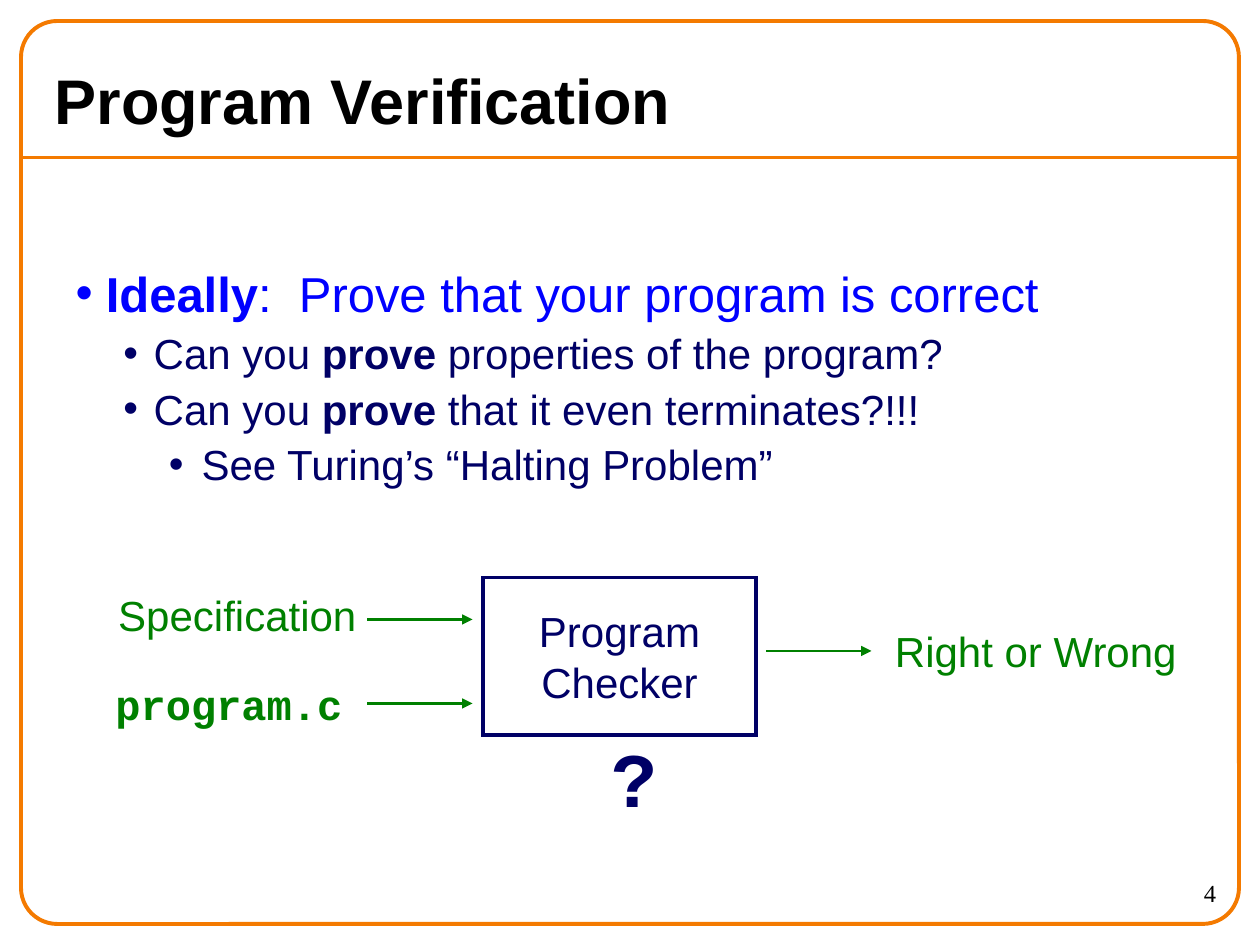
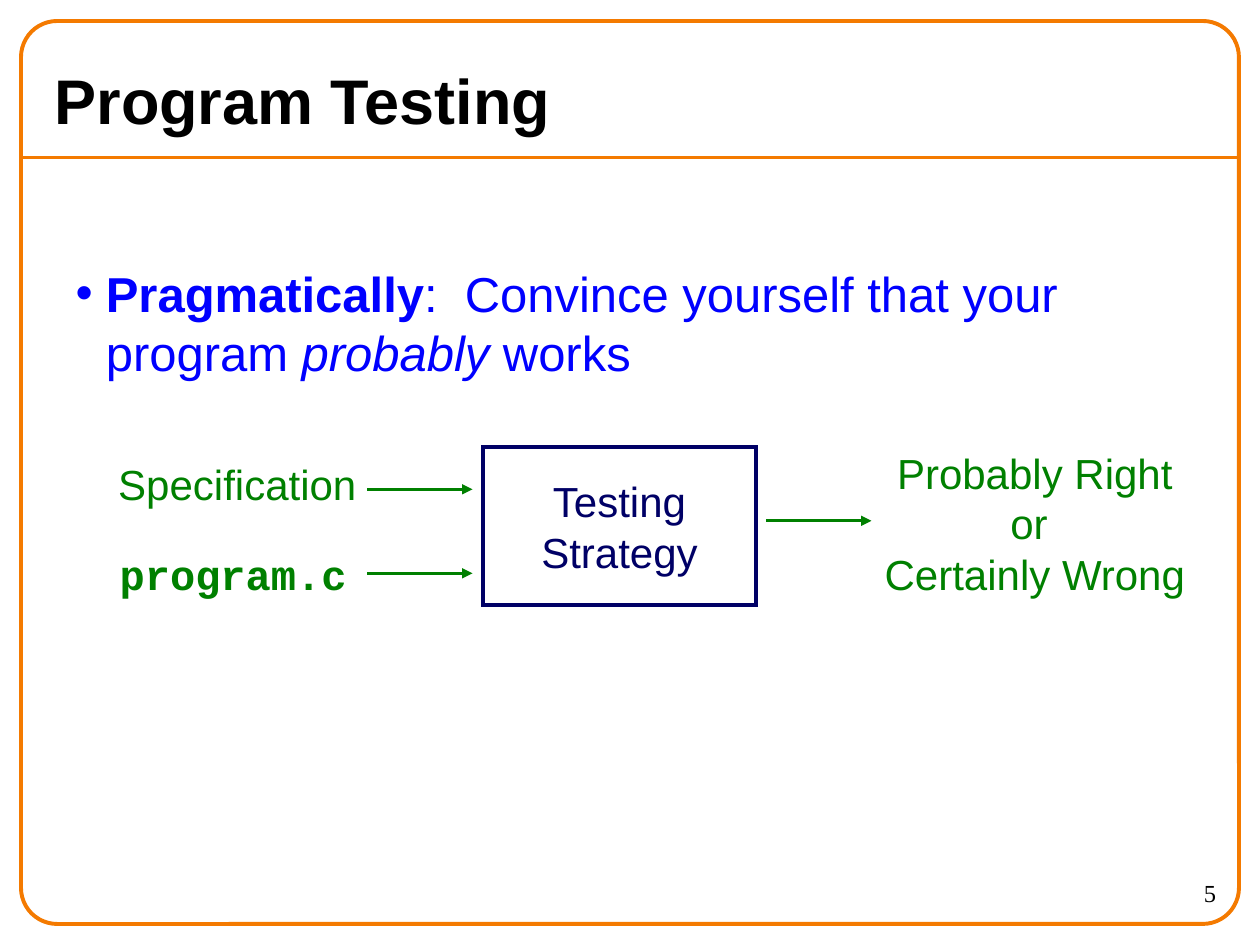
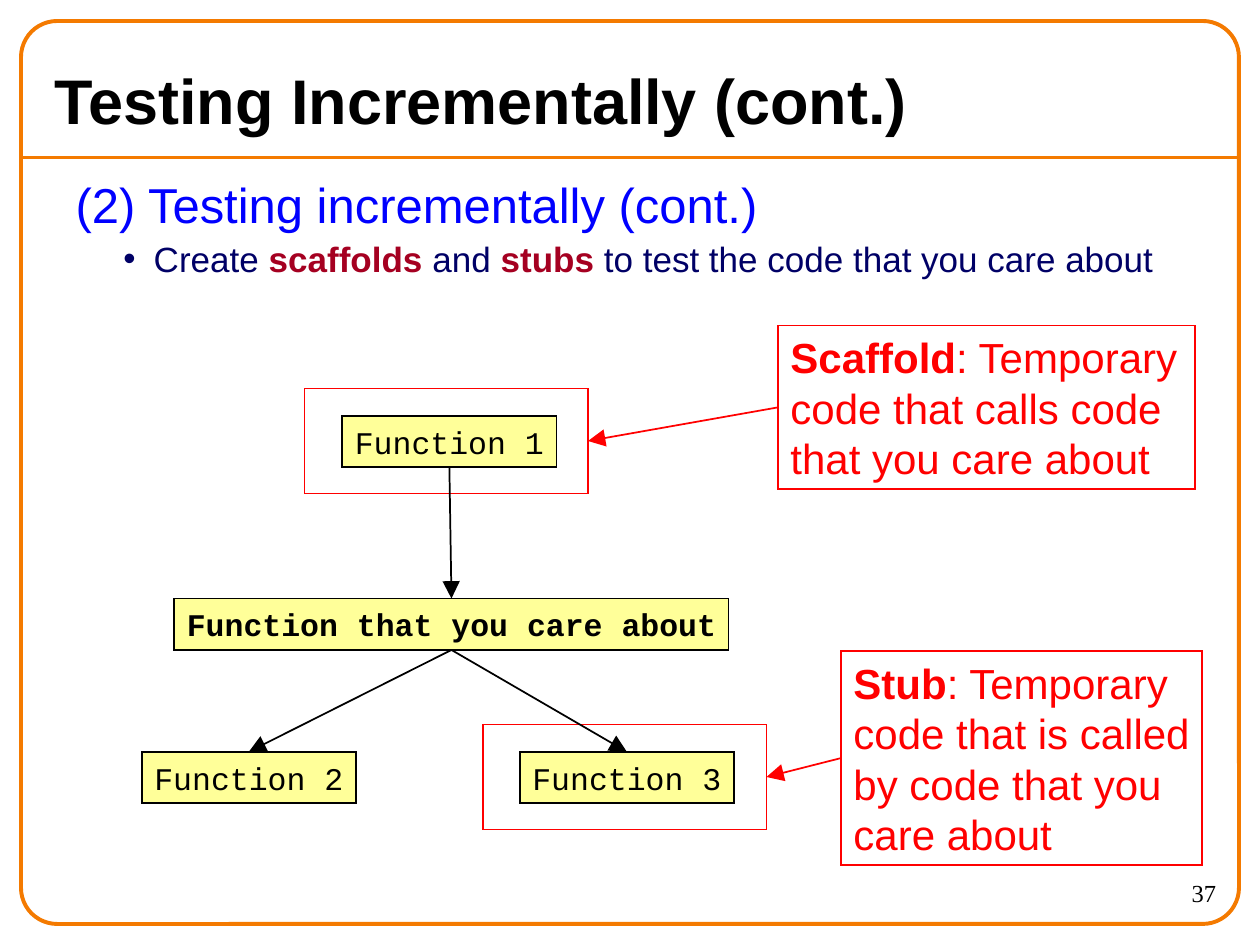
from lxml import etree
from pptx import Presentation
from pptx import util as u
from pptx.dml.color import RGBColor
from pptx.enum import shapes, text
from pptx.oxml import ns

ORANGE, BLUE, NAVY, GREEN = "F47A00", "0000FF", "000066", "008000"
BLACK, RED, CRIMSON, YELLOW, WHITE = "000000", "FF0000", "A50021", "FFFF99", "FFFFFF"
LEFT, CENTER, RIGHT = text.PP_ALIGN.LEFT, text.PP_ALIGN.CENTER, text.PP_ALIGN.RIGHT


def hue(code):
    return RGBColor.from_string(code)


def write(frame, number, line, font, size, color, bold=False, align=LEFT, accent=None):
    para = frame.paragraphs[0] if number == 0 else frame.add_paragraph()
    para.alignment = align
    for index, piece in enumerate(line.split("*")):
        if piece:
            strong = index % 2 == 1
            span = para.add_run()
            span.text = piece
            span.font.name = font
            span.font.size = u.Pt(size)
            span.font.bold = bold or strong
            span.font.color.rgb = hue(accent if accent and strong else color)
    return para


deck = Presentation()
deck.slide_width, deck.slide_height = u.Inches(10), u.Inches(7.5)
cell = deck.slide_width / 120

topics = [
    ("Program Verification", "4", 24.5, 3, [
        (0, "*Ideally*:  Prove that your program is correct", 28),
        (1, "Can you *prove* properties of the program?", 24),
        (1, "Can you *prove* that it even terminates?!!!", 24),
        (2, "See Turing’s “Halting Problem”", 24)]),
    ("Program Testing", "5", 24.5, 3, [
        (0, "*Pragmatically*:  Convince yourself that your program *probably *works", 28)]),
    ("Testing Incrementally (cont.)", "37", 16, 2.5, [
        (0, "(2) Testing incrementally (cont.)", 28),
        (1, "Create *scaffolds* and *stubs *to test the code that you care about", 20)]),
]
indents = [(0.24, -0.24), (0.62, -0.24), (1, -0.26)]

styles = {
    "border": ("Arial", 12, BLACK, False, CENTER, None, ORANGE, 2.25),
    "number": ("Times New Roman", 14, BLACK, False, RIGHT, None, None, 0),
    "process": ("Arial", 24, NAVY, False, CENTER, None, NAVY, 2.25),
    "label": ("Arial", 24, GREEN, False, CENTER, None, None, 0),
    "file": ("Courier New", 24, GREEN, True, CENTER, None, None, 0),
    "question": ("Courier New", 44, NAVY, True, CENTER, None, None, 0),
    "function": ("Courier New", 18, BLACK, False, CENTER, YELLOW, BLACK, 1),
    "note": ("Arial", 24, RED, False, LEFT, WHITE, RED, 1),
    "frame": ("Arial", 12, RED, False, CENTER, None, RED, 1),
}

boxes = []
arrows = []
for page_index, topic in enumerate(topics):
    boxes += [
        (page_index, "border", "Border", "", 2, 2, 116, 86),
        (page_index, "number", "Page number", topic[1], 105, 83, 12, 4),
    ]
    arrows.append((page_index, (2, 15), (118, 15), ORANGE, 2.25, None))

flows = [
    (0, 55, "Program\nChecker", 9.8, "Right or Wrong", (84, 59, 29.3, 6)),
    (1, 42.6, "Testing\nStrategy", 10.2, "Probably Right\nor \nCertainly Wrong", (83, 42, 31.1, 15.6)),
]
for page_index, top, process, file_left, verdict, place in flows:
    boxes += [
        (page_index, "process", "Process", process, 46, top, 26, 15),
        (page_index, "label", "Specification", "Specification", 9.6, top + 0.5, 26, 6),
        (page_index, "file", "Program file", "program.c", file_left, top + 9, 24, 6),
        (page_index, "label", "Verdict", verdict, *place),
    ]
    for left, drop in [(35, 4), (35, 12), (73, 7)]:
        arrows.append((page_index, (left, top + drop), (left + 10, top + drop), GREEN, 1.5, "med"))

boxes += [
    (0, "question", "Question", "?", 57.1, 69, 6.7, 10),
    (2, "function", "Target", "*Function that you care about*", 16.6, 57, 52.8, 4.9),
    (2, "function", "Function 1", "Function 1", 32.6, 39.6, 20.4, 4.9),
    (2, "function", "Function 2", "Function 2", 13.5, 71.6, 20.4, 4.9),
    (2, "function", "Function 3", "Function 3", 49.5, 71.6, 20.4, 4.9),
    (2, "note", "Scaffold", "*Scaffold*: Temporary\ncode that calls code\nthat you care about", 74.1, 31, 39.7, 15.6),
    (2, "note", "Stub", "*Stub*: Temporary\ncode that is called\nby code that you\ncare about", 80.1, 62, 34.4, 20.4),
    (2, "frame", "Scaffold frame", "", 29, 37, 27, 10),
    (2, "frame", "Stub frame", "", 46, 69, 27, 10),
]
arrows += [
    (2, ("Function 1", 2), ("Target", 0), BLACK, 1, "lg"),
    (2, ("Target", 2), ("Function 2", 0), BLACK, 1, "lg"),
    (2, ("Target", 2), ("Function 3", 0), BLACK, 1, "lg"),
    (2, ("Scaffold", 1), ("Scaffold frame", 3), RED, 1, "lg"),
    (2, ("Stub", 1), ("Stub frame", 3), RED, 1, "lg"),
]

pages = []
for heading, number, body_top, gap, items in topics:
    page = deck.slides.add_slide(deck.slide_layouts[1])
    pages.append(page)
    title, body = page.placeholders[0], page.placeholders[1]
    for holder, place in [(title, (4, 5, 112, 9)), (body, (6, body_top, 111, 88 - body_top))]:
        holder.left, holder.top, holder.width, holder.height = [round(cell * side) for side in place]
        holder.text_frame.auto_size = text.MSO_AUTO_SIZE.NONE
    title.text_frame.vertical_anchor = text.MSO_ANCHOR.MIDDLE
    write(title.text_frame, 0, heading, "Arial", 36, BLACK, bold=True)

    for row, (level, line, size) in enumerate(items):
        color = NAVY if level else BLUE
        accent = CRIMSON if "scaffolds" in line else None
        para = write(body.text_frame, row, line, "Arial", size, color, accent=accent)
        para.level = level
        para.space_before = u.Pt(gap if row else 0)
        settings = para._p.get_or_add_pPr()
        margin, hanging = indents[level]
        settings.set("marL", str(u.Inches(margin)))
        settings.set("indent", str(u.Inches(hanging)))
        if line.startswith("("):
            etree.SubElement(settings, ns.qn("a:buNone"))
        else:
            tint = etree.SubElement(settings, ns.qn("a:buClr"))
            etree.SubElement(tint, ns.qn("a:srgbClr"), val=color)
            etree.SubElement(settings, ns.qn("a:buFont"), typeface="Arial")
            etree.SubElement(settings, ns.qn("a:buChar"), char="•")
        for span in para.runs:
            if span.text == "probably ":
                span.font.bold, span.font.italic = False, True

drawn = {}
for page_index, style, name, words, *place in boxes:
    font, size, color, bold, align, fill, outline, weight = styles[style]
    sides = [round(cell * side) for side in place]
    page = pages[page_index]
    if outline:
        preset = shapes.MSO_SHAPE.ROUNDED_RECTANGLE if style == "border" else shapes.MSO_SHAPE.RECTANGLE
        box = page.shapes.add_shape(preset, *sides)
        box.shadow.inherit = False
        box.line.color.rgb = hue(outline)
        box.line.width = u.Pt(weight)
        etree.SubElement(box.line._get_or_add_ln(), ns.qn("a:miter"), lim="800000")
        if fill:
            box.fill.solid()
            box.fill.fore_color.rgb = hue(fill)
        else:
            box.fill.background()
        if style == "border":
            box.adjustments[0] = 0.04
    else:
        box = page.shapes.add_textbox(*sides)
    drawn[page_index, name] = box
    if words:
        box.text_frame.word_wrap = style == "number"
        box.text_frame.vertical_anchor = text.MSO_ANCHOR.MIDDLE
        for row, line in enumerate(words.split("\n")):
            write(box.text_frame, row, line, font, size, color, bold, align)

for page_index, start, end, color, weight, head in arrows:
    joined = isinstance(start[0], str)
    points = [0] * 4 if joined else [round(cell * side) for side in start + end]
    arrow = pages[page_index].shapes.add_connector(shapes.MSO_CONNECTOR.STRAIGHT, *points)
    if joined:
        arrow.begin_connect(drawn[page_index, start[0]], start[1])
        arrow.end_connect(drawn[page_index, end[0]], end[1])
    arrow.line.color.rgb = hue(color)
    arrow.line.width = u.Pt(weight)
    if head:
        etree.SubElement(arrow.line._get_or_add_ln(), ns.qn("a:tailEnd"), type="triangle", w=head, len=head)
    etree.SubElement(arrow._element.spPr, ns.qn("a:effectLst"))

deck.save("out.pptx")
